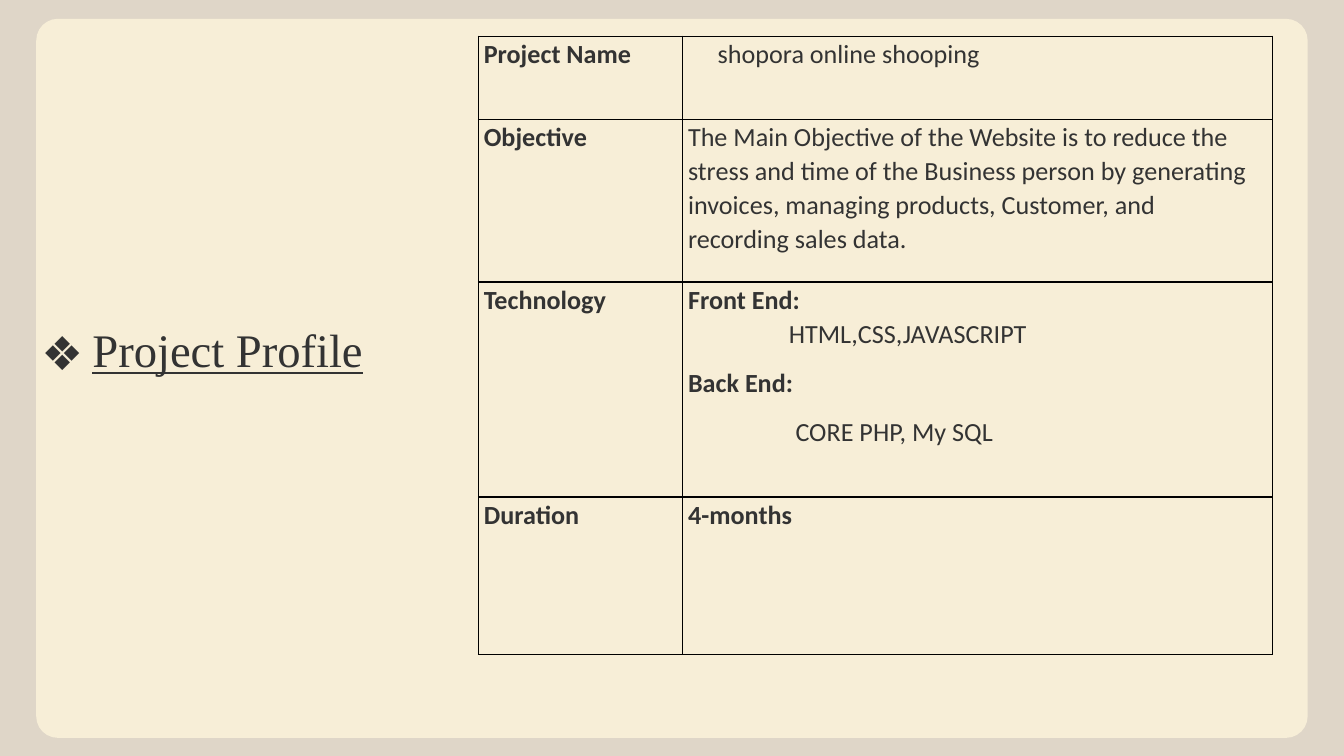
from lxml.etree import SubElement
from pptx import Presentation
from pptx.dml.color import RGBColor as RGB
from pptx.enum.shapes import MSO_SHAPE as Shape
from pptx.oxml.ns import qn
from pptx.util import Inches as In, Pt

SAND = RGB(0xDF, 0xD6, 0xC8)
CREAM = RGB(0xF7, 0xEE, 0xD7)
INK = RGB(0x33, 0x33, 0x33)
BLACK = RGB(0, 0, 0)

WIDE = 10
HIGH = WIDE * 9 / 16
BOND = chr(160)
GOAL = ("The Main Objective of the Website is to reduce the stress and time "
        "of the Business person by generating invoices, managing products, "
        "Customer, and " + BOND.join(["recording", "sales", "data."]))

ROWS = [
    (0.62, "Project Name", [("shopora online shooping", False, 0.22, 8)]),
    (1.21, "Objective", [(GOAL, False, 0, 8)]),
    (1.6, "Technology", [
        ("Front End:", True, 0, 0),
        ("HTML,CSS,JAVASCRIPT", False, 0.75, 8),
        ("Back End:", True, 0, 8),
        ("CORE PHP, My SQL", False, 0.8, 8),
    ]),
    (1.17, "Duration", [("4-months", True, 0, 8)]),
]
COLS = [1.52, 4.39]
EDGES = {"a:lnL": 0.75, "a:lnR": 0.75, "a:lnT": 1, "a:lnB": 1}

BODY = {"name": "Calibri", "size": Pt(14)}
HEAD = {"name": "Times New Roman", "size": Pt(25), "underline": True}


def put(obj, vals):
    for key, val in vals.items():
        setattr(obj, key, val)


def write(para, text, font, left=0, hang=0, after=8):
    put(para, {"line_spacing": 1.07, "space_after": Pt(after)})
    prop = para._p.get_or_add_pPr()
    prop.set("marL", str(In(left)))
    prop.set("indent", str(In(-hang)))
    run = para.add_run()
    run.text = text
    put(run.font, font)
    run.font.color.rgb = INK
    return prop


def frame(cell):
    prop = cell._tc.get_or_add_tcPr()
    for tag, wide in EDGES.items():
        line = SubElement(prop, qn(tag), w=str(Pt(wide)))
        fill = SubElement(line, qn("a:solidFill"))
        SubElement(fill, qn("a:srgbClr"), val=str(BLACK))
    cell.fill.background()


def fill_cell(cell, lines):
    frame(cell)
    put(cell, {"margin_left": In(0.04), "margin_right": In(0.04),
               "margin_top": 0, "margin_bottom": 0})
    body = cell.text_frame
    for i, (text, bold, left, after) in enumerate(lines):
        para = body.add_paragraph() if i else body.paragraphs[0]
        write(para, text, {**BODY, "bold": bold}, left, 0, after)


deck = Presentation()
put(deck, {"slide_width": In(WIDE), "slide_height": In(HIGH)})
slide = deck.slides.add_slide(deck.slide_layouts[6])
back = slide.background.fill
back.solid()
back.fore_color.rgb = SAND

panel = slide.shapes.add_shape(Shape.ROUNDED_RECTANGLE,
                               In(0.27), In(0.14), In(9.46), In(5.35))
panel.adjustments[0] = 0.03
panel.shadow.inherit = False
panel.fill.solid()
panel.fill.fore_color.rgb = CREAM
panel.line.fill.background()

high = sum(row[0] for row in ROWS)
table = slide.shapes.add_table(len(ROWS), len(COLS), In(3.56), In(0.27),
                               In(sum(COLS)), In(high)).table
put(table, {"first_row": False, "horz_banding": False})
for col, wide in zip(table.columns, COLS):
    col.width = In(wide)
for row, (tall, label, lines) in zip(table.rows, ROWS):
    row.height = In(tall)
    fill_cell(row.cells[0], [(label, True, 0, 8)])
    fill_cell(row.cells[1], lines)

title = slide.shapes.add_textbox(In(0.21), In(2.26), In(2.73), In(0.56))
body = title.text_frame
put(body, {"word_wrap": True, **{f"margin_{side}": In(0.1) for side in
                                 ("left", "right", "top", "bottom")}})
prop = write(body.paragraphs[0], "Project Profile", HEAD, 0.38, 0.38)
tint = SubElement(prop, qn("a:buClr"))
SubElement(tint, qn("a:srgbClr"), val=str(INK))
SubElement(prop, qn("a:buFont"), typeface="Noto Sans Symbols")
SubElement(prop, qn("a:buChar"), char="❖")

deck.save("out.pptx")
